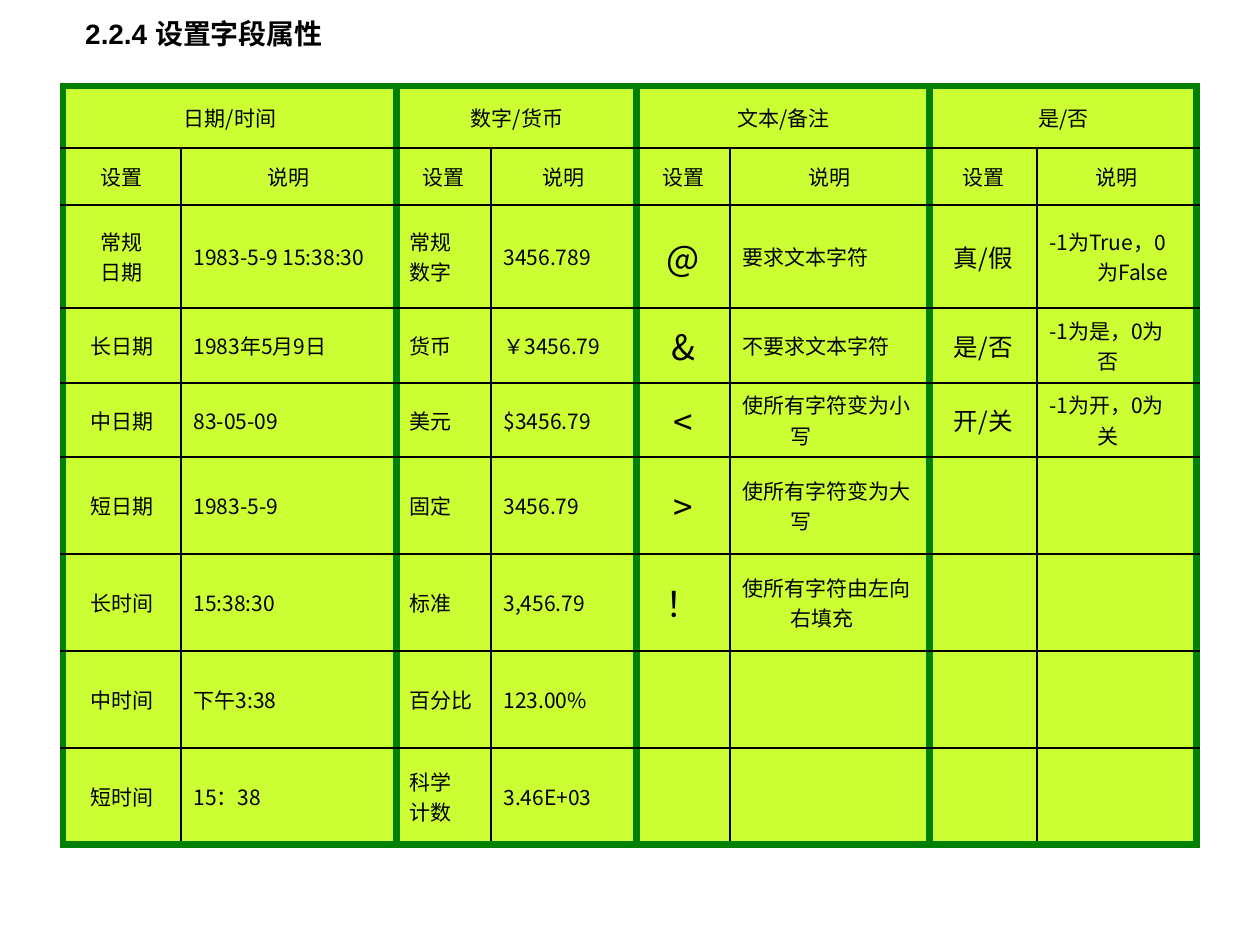
"""Build a slide with a table of field format settings."""
from dataclasses import dataclass

from lxml import etree
from pptx import Presentation
from pptx.dml.color import RGBColor
from pptx.enum.text import MSO_ANCHOR, PP_ALIGN
from pptx.oxml.ns import qn
from pptx.util import Emu, Pt

SCALE = 914400 // 126
LEFT, CENTER = PP_ALIGN.LEFT, PP_ALIGN.CENTER
TOP, MIDDLE = MSO_ANCHOR.TOP, MSO_ANCHOR.MIDDLE


@dataclass(frozen=True)
class Theme:
    """Colours, fonts and sizes."""
    ink: str = "000000"
    fill: str = "CCFF33"
    edge: str = "008000"
    latin: str = "Arial"
    asian: str = "Noto Sans CJK SC"
    title: int = 16
    body: int = 12
    choice: int = 14
    symbol: int = 20
    thin: float = 1
    thick: float = 4.5


@dataclass(frozen=True)
class Column:
    """One table column below its two heading rows."""
    width: int
    size: int
    align: PP_ALIGN
    texts: tuple[str, ...]


THEME = Theme()
HEADS = ("日期/时间", "数字/货币", "文本/备注", "是/否")
LABELS = ("设置", "说明")
ROWS = (62, 57, 103, 75, 74, 97, 97, 97, 97)
INDENT = 48
COLUMNS = (
    Column(118, THEME.body, CENTER,
           ("常规\n日期", "长日期", "中日期", "短日期", "长时间", "中时间", "短时间")),
    Column(216, THEME.body, LEFT,
           ("1983-5-9 15:38:30", "1983年5月9日", "83-05-09", "1983-5-9",
            "15:38:30", "下午3:38", "15：38")),
    Column(94, THEME.body, LEFT,
           ("常规\n数字", "货币", "美元", "固定", "标准", "百分比", "科学\n计数")),
    Column(146, THEME.body, LEFT,
           ("3456.789", "￥3456.79", "$3456.79", "3456.79", "3,456.79",
            "123.00%", "3.46E+03")),
    Column(93, THEME.symbol, CENTER, ("@", "&", "<", ">", "！")),
    Column(200, THEME.body, LEFT,
           ("要求文本字符", "不要求文本字符", "使所有字符变为小写",
            "使所有字符变为大写", "使所有字符由左向右填充")),
    Column(107, THEME.choice, CENTER, ("真/假", "是/否", "开/关")),
    Column(160, THEME.body, LEFT,
           ("-1为True，0为False", "-1为是，0为否", "-1为开，0为关")),
)


def px(count: int) -> Emu:
    """Turn pixels into EMU."""
    return Emu(count * SCALE)


def style(frame, size: int, latin: str, align: PP_ALIGN, bold: bool = False) -> None:
    """Format every paragraph and run of a text frame."""
    for para in frame.paragraphs:
        para.alignment = align
        for run in para.runs:
            font = run.font
            font.size, font.bold, font.name = Pt(size), bold, latin
            font.color.rgb = RGBColor.from_string(THEME.ink)
            east = etree.SubElement(run._r.get_or_add_rPr(), qn("a:ea"))
            east.set("typeface", THEME.asian)


def border(cell, sides: dict[str, bool]) -> None:
    """Draw the cell borders, thick and green where the flag is set."""
    props = cell._tc.get_or_add_tcPr()
    for spot, (side, outer) in enumerate(sides.items()):
        width = THEME.thick if outer else THEME.thin
        line = etree.Element(qn(f"a:ln{side}"), w=str(Pt(width)))
        solid = etree.SubElement(line, qn("a:solidFill"))
        color = THEME.edge if outer else THEME.ink
        etree.SubElement(solid, qn("a:srgbClr"), val=color)
        props.insert(spot, line)


def write(cell, text: str, size: int, align: PP_ALIGN) -> None:
    """Put hanging text into a cell."""
    cell.vertical_anchor = MIDDLE
    if not text:
        return
    cell.text_frame.text = text
    style(cell.text_frame, size, THEME.asian, align)
    for para in cell.text_frame.paragraphs:
        props = para._p.get_or_add_pPr()
        props.set("marL", str(px(INDENT)))
        props.set("indent", str(-px(INDENT)))


def add_title(slide) -> None:
    """Add the slide heading."""
    box = slide.shapes.add_textbox(px(64), px(0), px(280), px(48))
    frame = box.text_frame
    frame.word_wrap = False
    frame.vertical_anchor = TOP
    frame.margin_top = px(17)
    frame.text = "2.2.4 设置字段属性"
    style(frame, THEME.title, THEME.latin, CENTER, True)


def add_grid(slide) -> None:
    """Add the table of settings."""
    width = sum(col.width for col in COLUMNS)
    shape = slide.shapes.add_table(len(ROWS), len(COLUMNS), px(63), px(86),
                                   px(width), px(sum(ROWS)))
    table = shape.table
    table.first_row = table.horz_banding = False
    for row, height in enumerate(ROWS):
        table.rows[row].height = px(height)
    for pos, col in enumerate(COLUMNS):
        table.columns[pos].width = px(col.width)
        first = pos % 2 == 0
        head = HEADS[pos // 2] if first else ""
        texts = (head, LABELS[pos % 2]) + col.texts
        for row in range(len(ROWS)):
            cell = table.cell(row, pos)
            cell.fill.solid()
            cell.fill.fore_color.rgb = RGBColor.from_string(THEME.fill)
            top, last = row == 0, row == len(ROWS) - 1
            border(cell, {"L": first or top, "R": not first or top,
                          "T": top, "B": last})
            text = texts[row] if row < len(texts) else ""
            if row < 2:
                write(cell, text, THEME.body, CENTER)
            else:
                write(cell, text, col.size, col.align)
    for pos in range(0, len(COLUMNS), 2):
        table.cell(0, pos).merge(table.cell(0, pos + 1))


def main() -> None:
    """Build and save the slide."""
    deck = Presentation()
    deck.slide_width, deck.slide_height = px(1260), px(945)
    slide = deck.slides.add_slide(deck.slide_layouts[6])
    add_title(slide)
    add_grid(slide)
    deck.save("out.pptx")


main()
